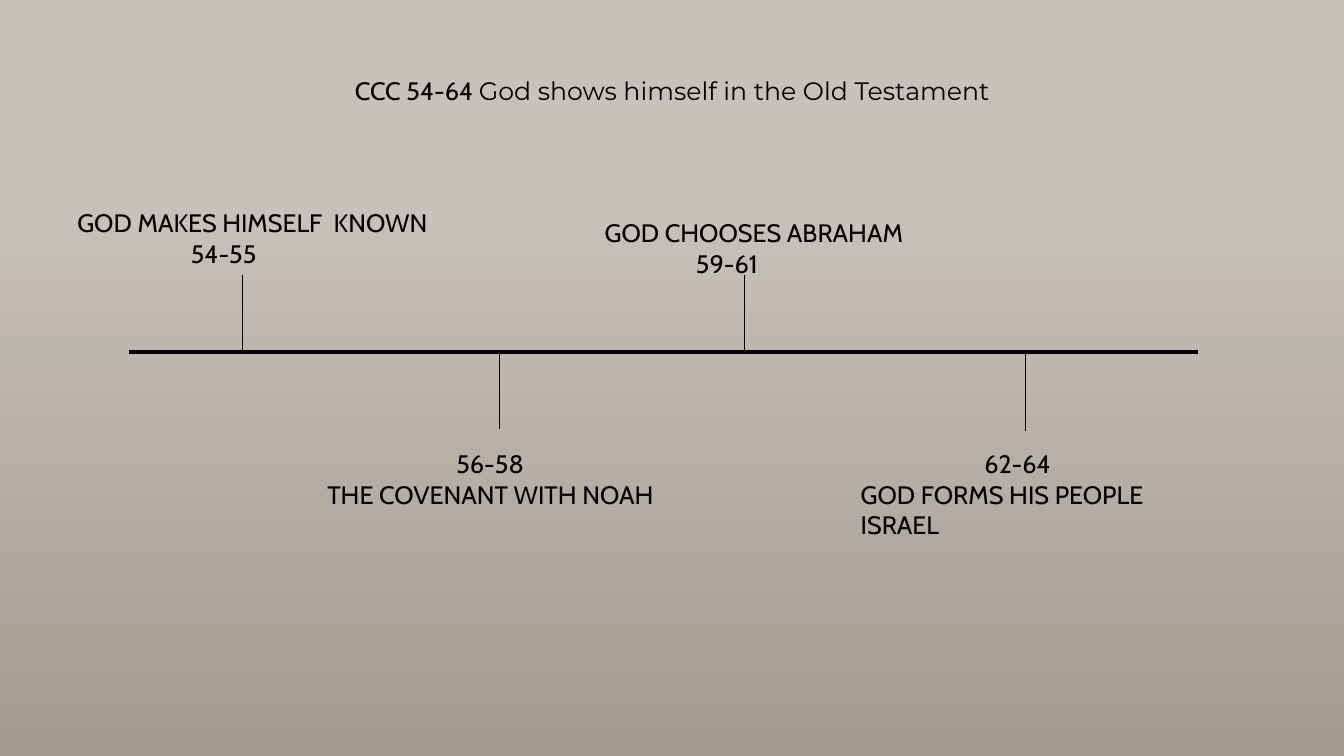
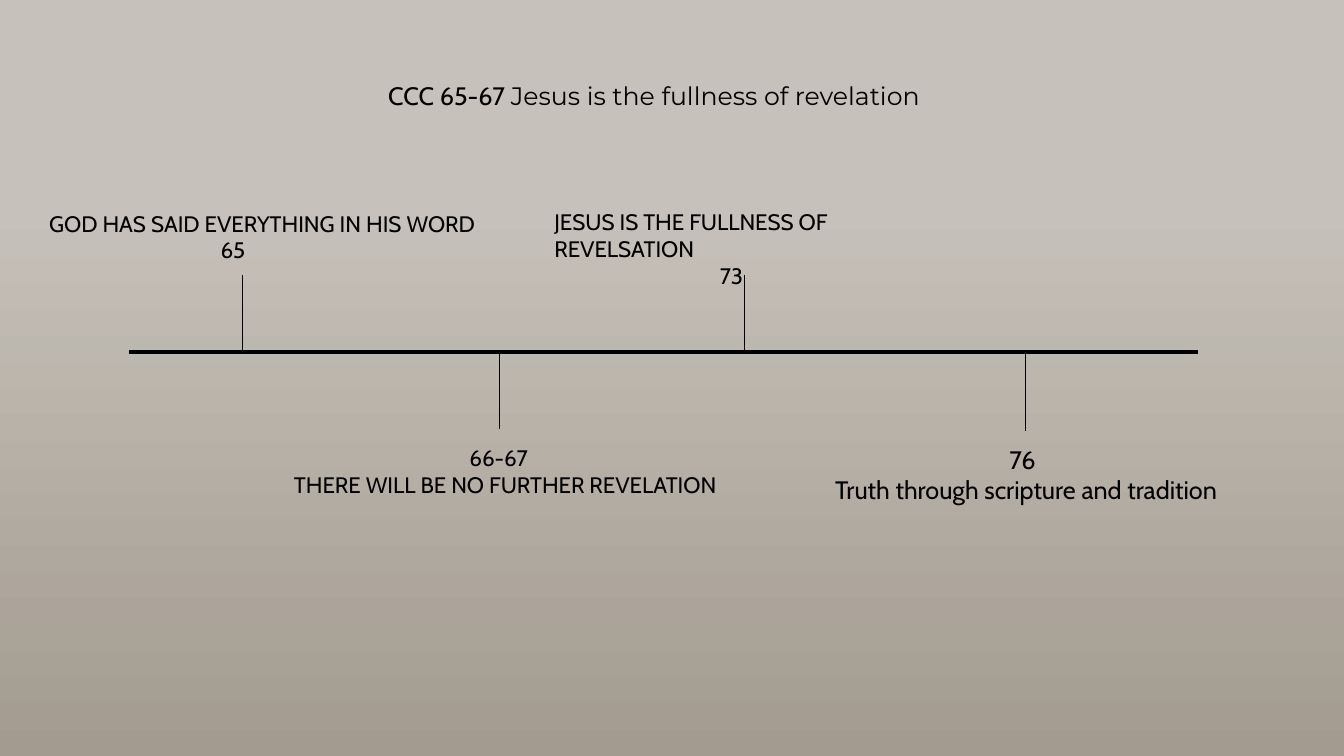
from dataclasses import dataclass

from lxml.etree import SubElement
from pptx import Presentation
from pptx.dml.color import RGBColor
from pptx.enum.shapes import MSO_CONNECTOR
from pptx.enum.text import MSO_ANCHOR, MSO_AUTO_SIZE, PP_ALIGN
from pptx.oxml.ns import qn
from pptx.presentation import Presentation as Deck
from pptx.slide import Slide
from pptx.text.text import TextFrame
from pptx.util import Cm, Pt

COLORS = {"ink": "000000", "ground_dark": "A39B8F", "ground_light": "C6C1BA"}
BODY_FONT = "Cabin"
TITLE_FONT = "Montserrat"
TITLE_SIZE = 18
TITLE_HEIGHT = 1.02
LABEL_HEIGHT = 1.8
AXIS_LEFT, AXIS_RIGHT, AXIS_Y = 3.25, 30.2, 8.87
TICK_LENGTH = 1.95


@dataclass(frozen=True)
class Tick:
    x: float
    start: float
    end: float


@dataclass(frozen=True)
class Label:
    heading: str
    number: str
    left: float
    top: float
    width: float
    number_indent: float
    above: bool
    size: int = 18


@dataclass(frozen=True)
class Timeline:
    reference: str
    title: str
    title_left: float
    title_top: float
    title_width: float
    labels: tuple[Label, ...]


TICKS = (
    Tick(6.1, AXIS_Y - TICK_LENGTH, AXIS_Y),
    Tick(12.58, AXIS_Y, AXIS_Y + TICK_LENGTH),
    Tick(18.75, AXIS_Y - TICK_LENGTH, AXIS_Y),
    Tick(25.83, AXIS_Y + 0.05, AXIS_Y + 0.05 + TICK_LENGTH),
)

TIMELINES = (
    Timeline(
        "CCC 54-64 ", "God shows himself in the Old Testament", 8.69, 1.78, 17.93,
        (
            Label("GOD MAKES HIMSELF  KNOWN", "54-55", 1.7, 5.11, 9.86, 2.86, True),
            Label("THE COVENANT WITH NOAH", "56-58", 8.0, 11.18, 9.12, 3.25, False),
            Label("GOD CHOOSES ABRAHAM", "59-61", 14.99, 5.36, 8.18, 2.3, True),
            Label("GOD FORMS HIS PEOPLE ISRAEL", "62-64", 21.44, 11.18, 9.4, 3.12, False),
        ),
    ),
    Timeline(
        "CCC 65-67 ", "Jesus is the fullness of revelation", 9.53, 1.9, 15.75,
        (
            Label("GOD HAS SAID EVERYTHING IN HIS WORD", "65",
                  0.99, 5.16, 11.58, 4.32, True, 16),
            Label("THERE WILL BE NO FURTHER REVELATION", "66-67",
                  7.16, 11.07, 11.61, 4.42, False, 16),
            Label("JESUS IS THE FULLNESS OF REVELSATION", "73",
                  13.72, 5.13, 10.8, 4.17, True, 16),
            Label("Truth through scripture and tradition", "76",
                  20.8, 11.07, 10.34, 4.39, False),
        ),
    ),
)


def color(name: str) -> RGBColor:
    return RGBColor.from_string(COLORS[name])


def format_font(font, name: str, size: int) -> None:
    font.name = name
    font.size = Pt(size)
    font.color.rgb = color("ink")


def prepare_frame(frame: TextFrame) -> None:
    frame.word_wrap = True
    frame.auto_size = MSO_AUTO_SIZE.NONE
    frame.vertical_anchor = MSO_ANCHOR.TOP


def set_background(presentation: Deck) -> None:
    fill = presentation.slide_master.background.fill
    fill.gradient()
    fill.gradient_angle = 90
    stops = ((0, "ground_dark"), (0.73, "ground_light"))
    for stop, (position, name) in zip(fill.gradient_stops, stops):
        stop.position = position
        stop.color.rgb = color(name)


def add_title(slide: Slide, timeline: Timeline) -> None:
    title = slide.shapes.title
    title.left, title.top = Cm(timeline.title_left), Cm(timeline.title_top)
    title.width, title.height = Cm(timeline.title_width), Cm(TITLE_HEIGHT)
    prepare_frame(title.text_frame)
    paragraph = title.text_frame.paragraphs[0]
    paragraph.alignment = PP_ALIGN.LEFT
    for text, font_name in ((timeline.reference, BODY_FONT), (timeline.title, TITLE_FONT)):
        run = paragraph.add_run()
        run.text = text
        format_font(run.font, font_name, TITLE_SIZE)


def add_line(slide: Slide, x1: float, y1: float, x2: float, y2: float, weight: float) -> None:
    line = slide.shapes.add_connector(MSO_CONNECTOR.STRAIGHT, Cm(x1), Cm(y1), Cm(x2), Cm(y2))
    line.line.color.rgb = color("ink")
    line.line.width = Pt(weight)
    SubElement(line._element.spPr, qn("a:effectLst"))


def add_label(slide: Slide, label: Label) -> None:
    box = slide.shapes.add_textbox(
        Cm(label.left), Cm(label.top), Cm(label.width), Cm(LABEL_HEIGHT))
    frame = box.text_frame
    prepare_frame(frame)
    lines = [(label.heading, 0), (label.number, label.number_indent)]
    if not label.above:
        lines.reverse()
    frame.text = "\n".join(text for text, _ in lines)
    for paragraph, (_, indent) in zip(frame.paragraphs, lines):
        paragraph._p.get_or_add_pPr().set("marL", str(Cm(indent)))
        format_font(paragraph.runs[0].font, BODY_FONT, label.size)


def add_timeline(presentation: Deck, timeline: Timeline) -> None:
    slide = presentation.slides.add_slide(presentation.slide_layouts.get_by_name("Title Only"))
    add_title(slide, timeline)
    add_line(slide, AXIS_LEFT, AXIS_Y, AXIS_RIGHT, AXIS_Y, 2.5)
    for tick in TICKS:
        add_line(slide, tick.x, tick.start, tick.x, tick.end, 0.5)
    for label in timeline.labels:
        add_label(slide, label)


def main() -> None:
    presentation = Presentation()
    presentation.slide_width = Cm(33.87)
    presentation.slide_height = Cm(19.05)
    set_background(presentation)
    for timeline in TIMELINES:
        add_timeline(presentation, timeline)
    presentation.save("out.pptx")


main()
